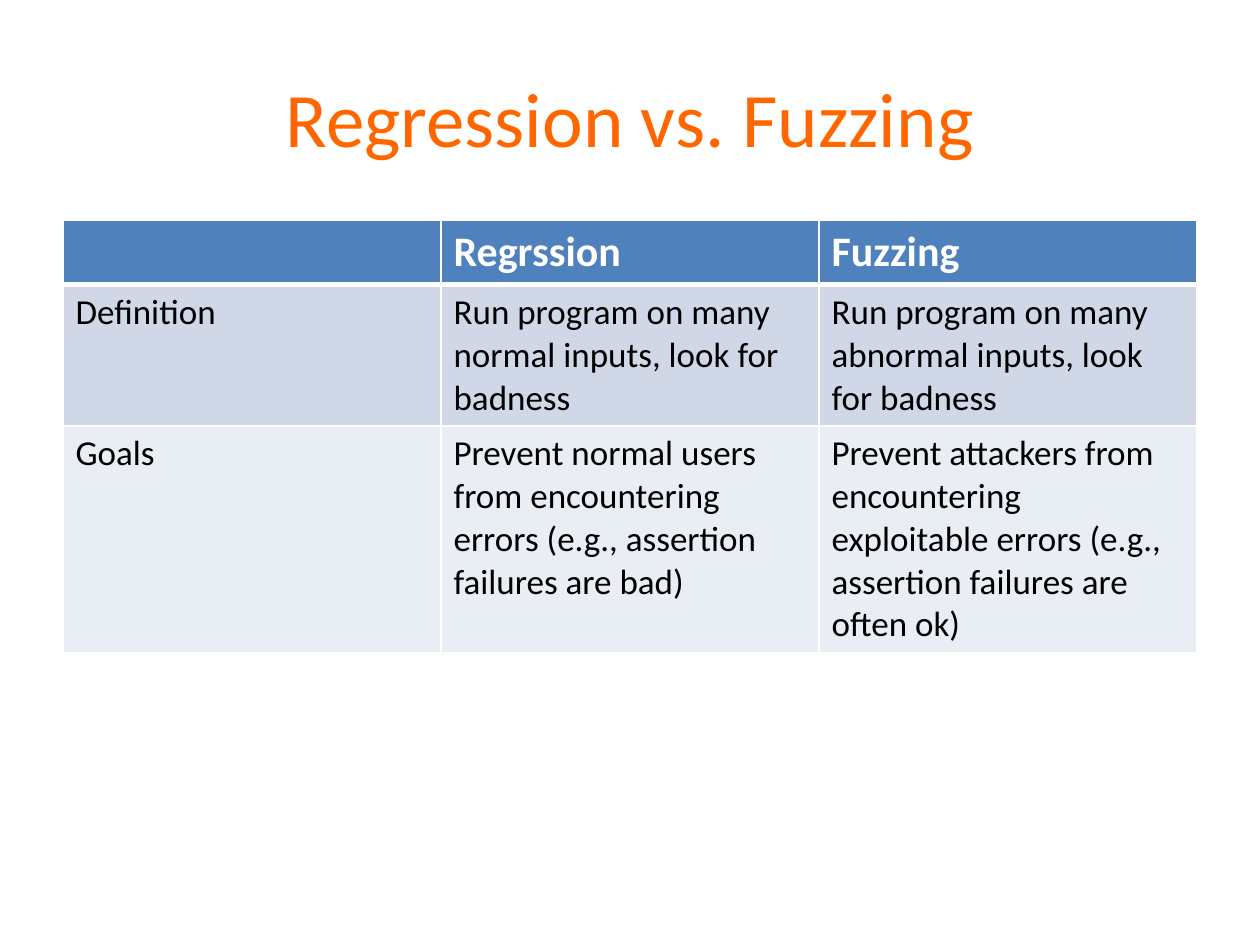
from lxml import etree
from pptx import Presentation
from pptx.dml.color import RGBColor
from pptx.enum.text import MSO_ANCHOR, PP_ALIGN
from pptx.oxml.ns import qn
from pptx.util import Cm, Pt

CENTER = PP_ALIGN.CENTER
MIDDLE = MSO_ANCHOR.MIDDLE
FONT = "Calibri"
COLORS = {
    "title": "FF6600",
    "header": "4F81BD",
    "odd": "D0D8E8",
    "even": "E9EDF4",
    "white": "FFFFFF",
    "text": "000000",
}
ROWS = [
    ["", "Regrssion", "Fuzzing"],
    [
        "Definition",
        "Run program on many normal inputs, look for badness",
        "Run program on many abnormal inputs, look for badness",
    ],
    [
        "Goals",
        "Prevent normal users from encountering errors (e.g., assertion failures are bad)",
        "Prevent attackers from encountering exploitable errors "
        "(e.g., assertion failures are often ok)",
    ],
]


def rgb(name):
    return RGBColor.from_string(COLORS[name])


def format_font(p, size, color, bold=False):
    p.font.name = FONT
    p.font.size = Pt(size)
    p.font.bold = bold
    p.font.color.rgb = rgb(color)


def add_title(slide, text):
    sp = slide.shapes.title
    sp.left, sp.top, sp.width, sp.height = Cm(1.27), Cm(0.76), Cm(22.86), Cm(3.18)
    tf = sp.text_frame
    tf.text = text
    tf.vertical_anchor = MIDDLE
    p = tf.paragraphs[0]
    p.alignment = CENTER
    format_font(p, 44, "title")


def set_borders(cell, widths):
    tc_pr = cell._tc.get_or_add_tcPr()
    for side, width in widths.items():
        ln = etree.SubElement(tc_pr, qn(f"a:ln{side}"), w=str(Pt(width)))
        fill = etree.SubElement(ln, qn("a:solidFill"))
        etree.SubElement(fill, qn("a:srgbClr"), val=COLORS["white"])


def format_cell(cell, text, row):
    header = row == 0
    set_borders(cell, {"L": 1, "R": 1, "T": 3 if row == 1 else 1, "B": 3 if header else 1})
    cell.fill.solid()
    cell.fill.fore_color.rgb = rgb("header" if header else "odd" if row % 2 else "even")
    cell.text = text
    p = cell.text_frame.paragraphs[0]
    format_font(p, 24 if header else 20, "white" if header else "text", header)


def add_comparison(slide, rows):
    table = slide.shapes.add_table(
        len(rows), len(rows[0]), Cm(1.27), Cm(4.45), Cm(22.86), Cm(3.12)
    ).table
    for i, row in enumerate(rows):
        for j, text in enumerate(row):
            format_cell(table.cell(i, j), text, i)


def main():
    prs = Presentation()
    prs.slide_width, prs.slide_height = Cm(25.4), Cm(19.05)
    slide = prs.slides.add_slide(prs.slide_layouts[5])
    add_title(slide, "Regression vs. Fuzzing")
    add_comparison(slide, ROWS)
    prs.save("out.pptx")


if __name__ == "__main__":
    main()
